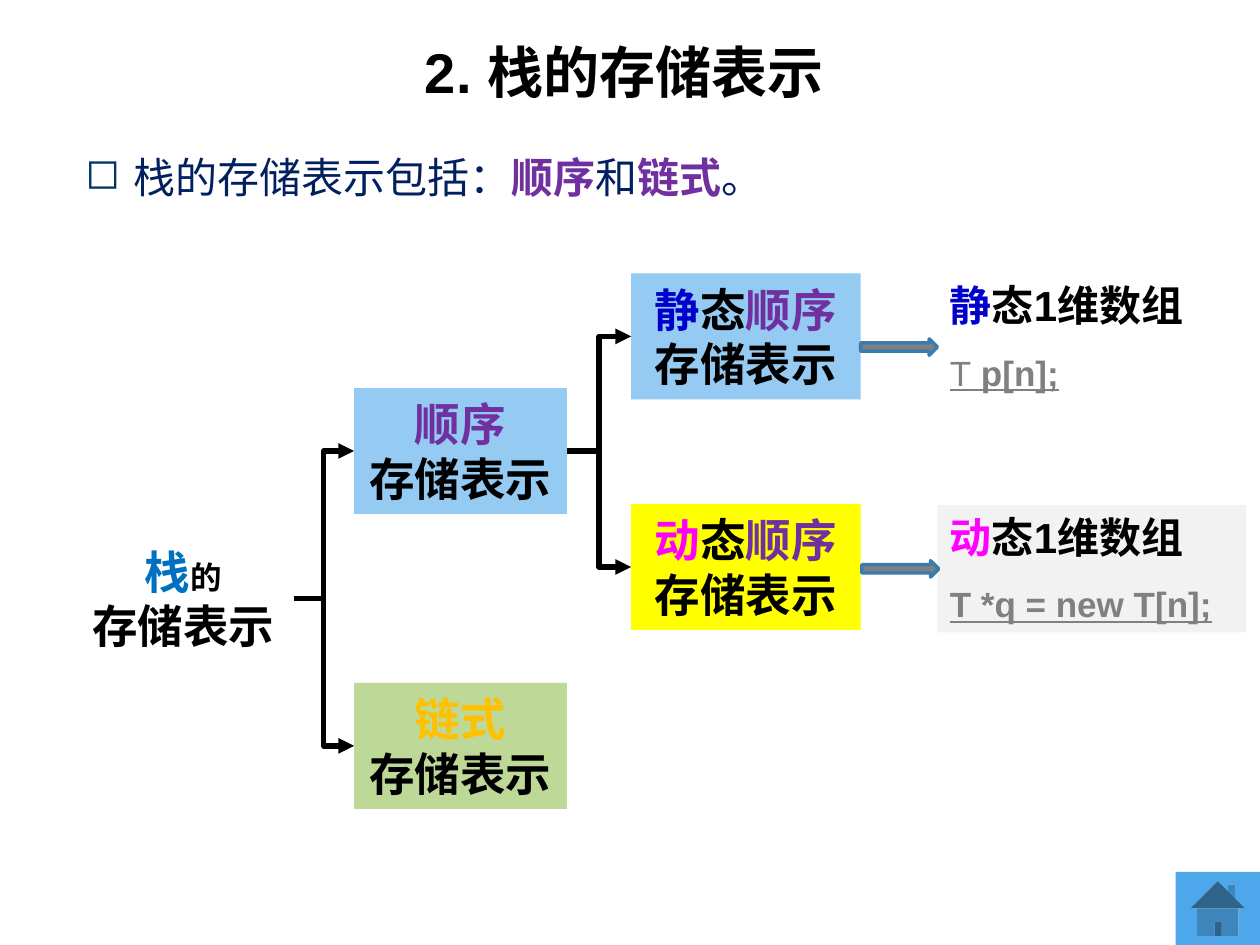
from dataclasses import dataclass

from lxml.etree import SubElement
from pptx import Presentation
from pptx.dml.color import RGBColor
from pptx.enum.shapes import MSO_CONNECTOR as Connector, MSO_SHAPE as Shape
from pptx.enum.text import MSO_ANCHOR as Anchor, PP_ALIGN as Align
from pptx.oxml.ns import qn
from pptx.util import Inches, Pt

FONT = "Arial"
BLACK, NAVY, PURPLE, GRAY = "000000", "002060", "7030A0", "808080"
BLUE, MAGENTA, SKY = "0000CC", "FF00FF", "95CAF2"
LEFT_SITE, RIGHT_SITE = 1, 3


@dataclass
class Run:
    text: str
    color: str = BLACK
    size: float = 26
    bold: bool = True
    underline: bool = False


@dataclass
class Node:
    left: float
    top: float
    width: float
    height: float
    paragraphs: list[list[Run]]
    fill: str | None = None
    align: Align = Align.CENTER
    anchor: Anchor = Anchor.MIDDLE
    space_before: float = 0


def rgb(color: str) -> RGBColor:
    return RGBColor.from_string(color)


def write_runs(paragraph, runs: list[Run]) -> None:
    for item in runs:
        run = paragraph.add_run()
        run.text = item.text
        formats = {"name": FONT, "size": Pt(item.size), "bold": item.bold,
                   "underline": item.underline}
        for key, value in formats.items():
            setattr(run.font, key, value)
        run.font.color.rgb = rgb(item.color)


def add_node(slide, node: Node):
    place = [Inches(v) for v in (node.left, node.top, node.width, node.height)]
    if node.fill:
        shape = add_filled(slide, Shape.RECTANGLE, place, node.fill)
    else:
        shape = slide.shapes.add_textbox(*place)
    frame = shape.text_frame
    frame.word_wrap = True
    frame.vertical_anchor = node.anchor
    for index, runs in enumerate(node.paragraphs):
        paragraph = frame.add_paragraph() if index else frame.paragraphs[0]
        paragraph.alignment = node.align
        if index:
            paragraph.space_before = Pt(node.space_before)
        write_runs(paragraph, runs)
    return shape


def add_filled(slide, kind: Shape, place: list, fill: str, line: str | None = None):
    shape = slide.shapes.add_shape(kind, *place)
    shape.shadow.inherit = False
    shape.fill.solid()
    shape.fill.fore_color.rgb = rgb(fill)
    if line:
        shape.line.color.rgb = rgb(line)
        shape.line.width = Pt(2)
    else:
        shape.line.fill.background()
    return shape


def add_branch(slide, parent, child) -> None:
    branch = slide.shapes.add_connector(Connector.ELBOW, 0, 0, 0, 0)
    branch.begin_connect(parent, RIGHT_SITE)
    branch.end_connect(child, LEFT_SITE)
    branch.line.color.rgb = rgb(BLACK)
    branch.line.width = Pt(3)
    SubElement(branch.line._get_or_add_ln(), qn("a:tailEnd"), type="triangle")
    SubElement(branch._element.spPr, qn("a:effectLst"))


def add_bullet(paragraph, symbol: str, color: str, indent: float) -> None:
    properties = paragraph._p.get_or_add_pPr()
    properties.set("marL", str(Inches(indent)))
    properties.set("indent", str(-Inches(indent)))
    bullet_color = SubElement(properties, qn("a:buClr"))
    SubElement(bullet_color, qn("a:srgbClr"), val=color)
    SubElement(properties, qn("a:buChar"), char=symbol)


def storage_node(left: float, top: float, kind: str, color: str, fill: str) -> Node:
    return Node(left, top, 1.69, 1, [[Run(kind, color)], [Run("存储表示")]], fill)


def sequential_node(top: float, kind: str, color: str, fill: str) -> Node:
    runs = [Run(kind, color), Run("态"), Run("顺序", PURPLE), Run("存储表示")]
    return Node(5.01, top, 1.82, 1, [runs], fill)


def array_node(top: float, width: float, kind: str, color: str,
               code: list[Run], fill: str | None = None) -> Node:
    heading = [Run(kind, color, 24), Run("态1维数组", size=24)]
    return Node(7.44, top, width, 1.01, [heading, code], fill,
                Align.LEFT, Anchor.TOP, 12)


def code_run(text: str, bold: bool = True) -> Run:
    return Run(text, GRAY, 20, bold, True)


def main() -> None:
    deck = Presentation()
    deck.slide_width, deck.slide_height = Inches(10), Inches(7.5)
    slide = deck.slides.add_slide(deck.slide_layouts[6])

    # Title and statement
    add_node(slide, Node(1.08, 0.3, 7.75, 0.53, [[Run("2. 栈的存储表示", size=32)]]))
    statement = add_node(slide, Node(0.58, 1.07, 8.96, 0.7, [[
        Run("栈的存储表示包括：", NAVY, 24, False), Run("顺序", PURPLE, 24),
        Run("和", NAVY, 24, False), Run("链式", PURPLE, 24),
        Run("。", NAVY, 24, False)]], align=Align.LEFT, anchor=Anchor.TOP))
    sentence = statement.text_frame.paragraphs[0]
    sentence.line_spacing = 1.2
    sentence.space_before = Pt(12)
    add_bullet(sentence, "◻", "003366", 0.38)

    # Storage tree
    stack = add_node(slide, Node(0.58, 4.25, 1.75, 1, [
        [Run("栈", "0070C0"), Run("的", size=18)], [Run("存储表示")]]))
    sequential = add_node(slide, storage_node(2.81, 3.08, "顺序", PURPLE, SKY))
    linked = add_node(slide, storage_node(2.81, 5.42, "链式", "FFC000", "BED997"))
    static = add_node(slide, sequential_node(2.17, "静", BLUE, SKY))
    dynamic = add_node(slide, sequential_node(4, "动", MAGENTA, "FFFF00"))
    for parent, child in ((stack, sequential), (stack, linked),
                          (sequential, static), (sequential, dynamic)):
        add_branch(slide, parent, child)

    # Array declarations
    add_node(slide, array_node(2.17, 2.07, "静", BLUE,
                               [code_run("T", False), code_run(" p[n];")]))
    add_node(slide, array_node(4.01, 2.45, "动", MAGENTA,
                               [code_run("T *q = new T[n];")], "F2F2F2"))
    for left, top in ((6.83, 2.69), (6.84, 4.45)):
        place = [Inches(v) for v in (left, top, 0.61, 0.13)]
        add_filled(slide, Shape.RIGHT_ARROW, place, GRAY, "3A7CAD")

    # Home button
    place = [Inches(v) for v in (9.33, 6.92, 0.67, 0.58)]
    add_filled(slide, Shape.ACTION_BUTTON_HOME, place, "4EA7EA")

    deck.save("out.pptx")


if __name__ == "__main__":
    main()
